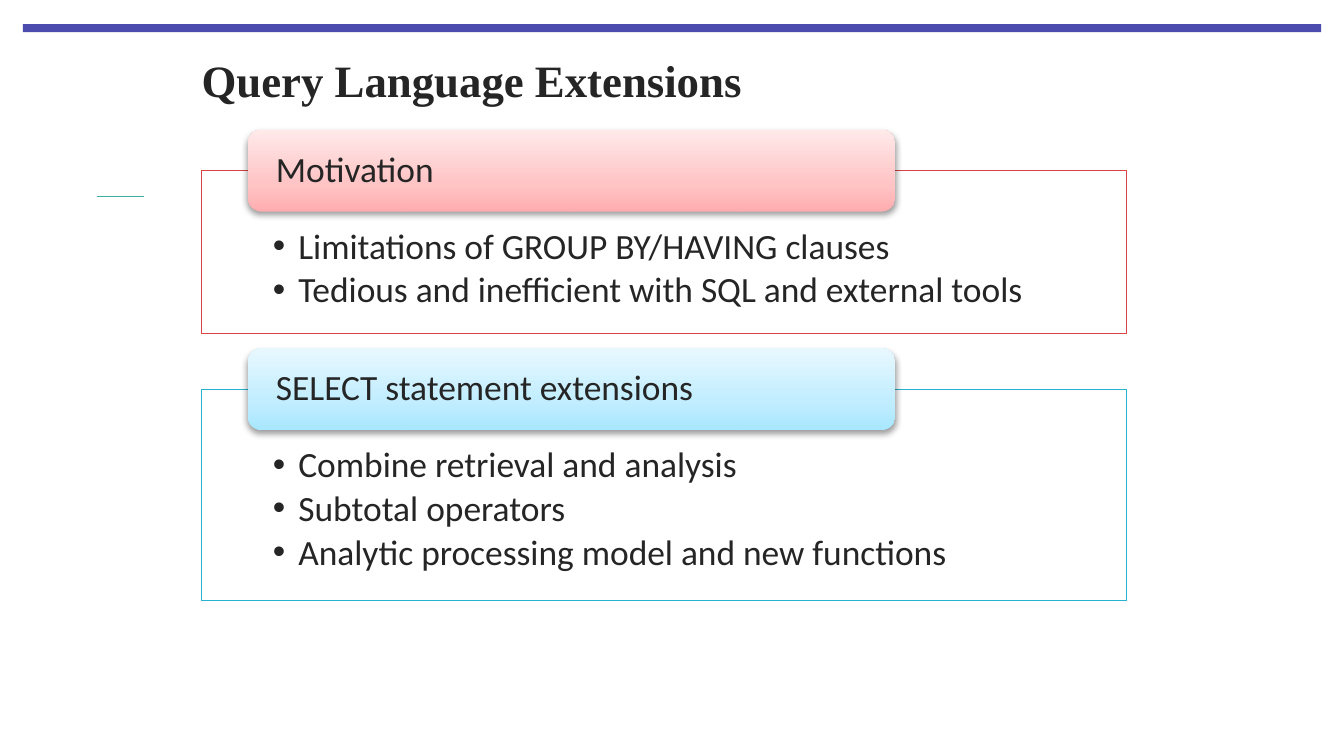
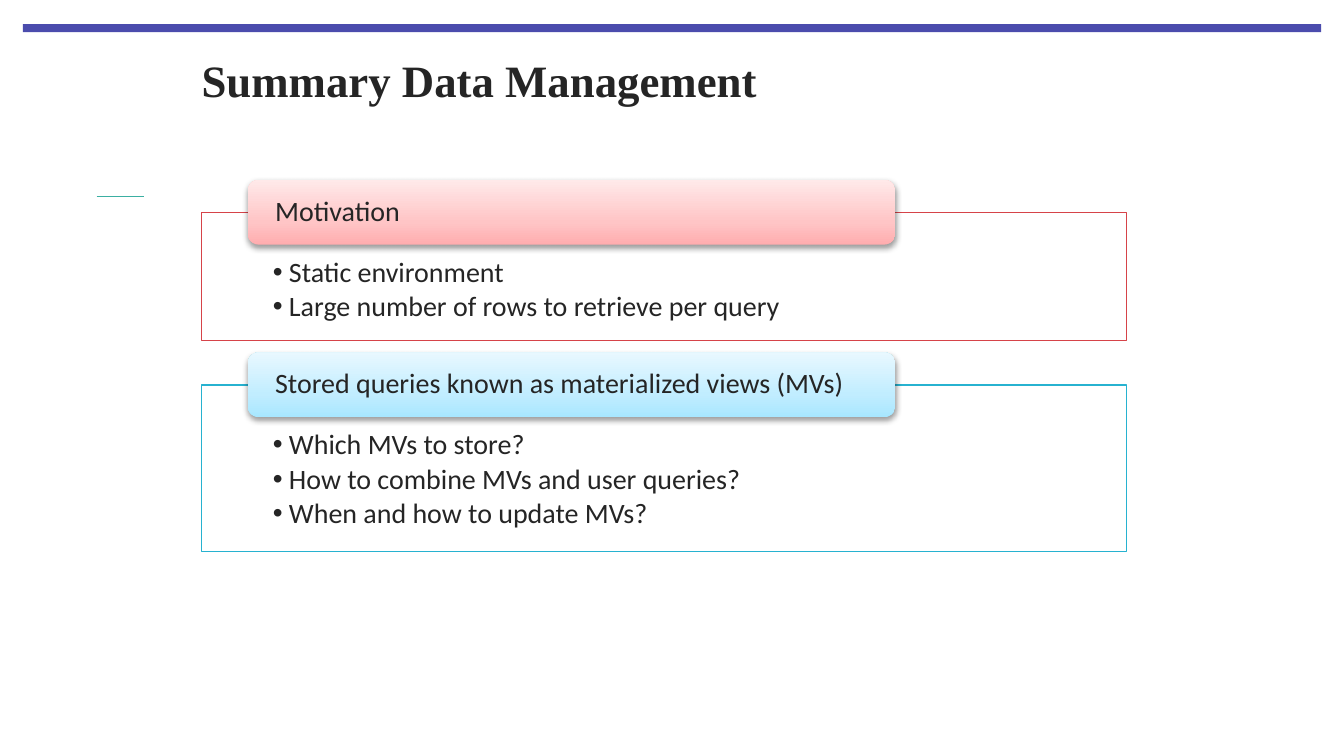
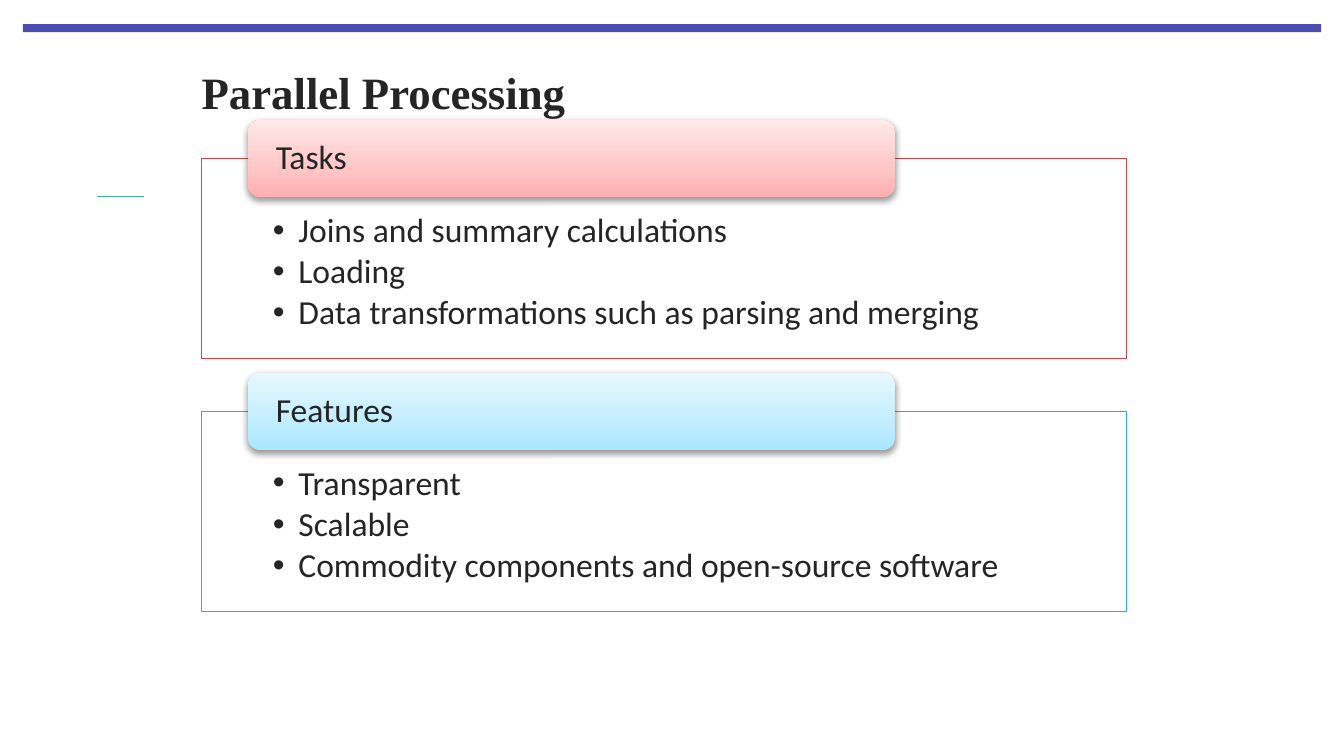
from copy import deepcopy

from lxml import etree
from pptx import Presentation
from pptx.dml.color import RGBColor
from pptx.enum import shapes, text
from pptx.oxml.ns import qn
from pptx.util import Inches, Pt

INK = RGBColor(0x25, 0x25, 0x25)
WHITE = RGBColor(0xFF, 0xFF, 0xFF)
BAND = RGBColor(0x4B, 0x4C, 0xAD)
DASH = RGBColor(0x3B, 0xAF, 0xA2)
RED = RGBColor(0xD6, 0x43, 0x49)
BLUE = RGBColor(0x27, 0xB2, 0xD0)
RED_TINTS = [RGBColor(0xFF, 0xAD, 0xAF), RGBColor(0xFF, 0xC5, 0xC6), RGBColor(0xFF, 0xE9, 0xE9)]
BLUE_TINTS = [RGBColor(0xA8, 0xE7, 0xFF), RGBColor(0xC1, 0xED, 0xFF), RGBColor(0xE8, 0xF8, 0xFF)]
THEMES = [(RED, RED_TINTS), (BLUE, BLUE_TINTS)]
TINT_STOPS = [0, 0.35, 1]

TITLE_FONT, BODY_FONT = "Times New Roman", "Calibri"
LEFT, WIDTH = 1.5, 6.88
HEADING_LEFT, HEADING_WIDTH = LEFT + 0.05 * WIDTH, 0.7 * WIDTH

# Heights in multiples of the text size
HEADING_EM = 2.31
PANEL_BASE_EM, PANEL_LINE_EM = 1.87, 1.36
PANEL_GAP_EM = 0.42
INSET_TOP_EM, INSET_BOTTOM_EM = 1.63, 0.56

SLIDES = [
    {"title": "Query Language Extensions", "title_top": 0.31,
     "size": 19, "indent": 0.19, "panel_top": 1.27,
     "sections": [
         ("Motivation", ["Limitations of GROUP BY/HAVING clauses",
                         "Tedious and inefficient with SQL and external tools"]),
         ("SELECT statement extensions", ["Combine retrieval and analysis",
                                          "Subtotal operators",
                                          "Analytic processing model and new functions"]),
     ]},
    {"title": "Summary Data Management", "title_top": 0.31,
     "size": 15, "indent": 0.12, "panel_top": 1.58,
     "sections": [
         ("Motivation", ["Static environment",
                         "Large number of rows to retrieve per query"]),
         ("Stored queries known as materialized views (MVs)",
          ["Which MVs to store?",
           "How to combine MVs and user queries?",
           "When and how to update MVs?"]),
     ]},
    {"title": "Parallel Processing", "title_top": 0.4,
     "size": 18, "indent": 0.19, "panel_top": 1.18,
     "sections": [
         ("Tasks", ["Joins and summary calculations",
                    "Loading",
                    "Data transformations such as parsing and merging"]),
         ("Features", ["Transparent",
                       "Scalable",
                       "Commodity components and open-source software"]),
     ]},
]


def add_block(page, kind, left, top, width, height):
    block = page.shapes.add_shape(kind, Inches(left), Inches(top), Inches(width), Inches(height))
    block.shadow.inherit = False
    block.line.fill.background()
    return block


def set_frame(frame, anchor, left=0, top=0, right=0, bottom=0):
    frame.word_wrap = True
    frame.vertical_anchor = anchor
    frame.margin_left, frame.margin_top = Inches(left), Inches(top)
    frame.margin_right, frame.margin_bottom = Inches(right), Inches(bottom)


def style_paragraph(para, name, size, bold=False):
    para.alignment = text.PP_ALIGN.LEFT
    for span in para.runs:
        span.font.name, span.font.size, span.font.bold = name, Pt(size), bold
        span.font.color.rgb = INK


def set_spacing(para, size, after):
    """Tighten the lines and leave a share of the text size after them."""
    para.line_spacing = 0.9
    para.space_after = Pt(round(size * after, 2))


def set_bullet(para, indent):
    para.level = 1
    properties = para._p.get_or_add_pPr()
    properties.set("marL", str(Inches(indent)))
    properties.set("indent", str(-Inches(indent)))
    font = etree.SubElement(properties, qn("a:buFont"))
    font.set("typeface", "Arial")
    etree.SubElement(properties, qn("a:buChar")).set("char", "•")


def set_alpha(color, percent):
    etree.SubElement(color, qn("a:alpha")).set("val", str(percent * 1000))


def add_shadow(block):
    effects = block._element.spPr.find(qn("a:effectLst"))
    shadow = etree.SubElement(effects, qn("a:outerShdw"), blurRad="40000", dist="20000",
                              dir="5400000", rotWithShape="0")
    color = etree.SubElement(shadow, qn("a:srgbClr"), val="000000")
    set_alpha(color, 38)


def fill_gradient(block, colors):
    block.fill.gradient()
    block.fill.gradient_angle = 90
    stops = block._element.spPr.find(".//" + qn("a:gsLst"))
    stops.insert(1, deepcopy(stops[0]))
    for stop, position, color in zip(block.fill.gradient_stops, TINT_STOPS, colors):
        stop.position = position
        stop.color.rgb = color


def add_decor(page):
    band = add_block(page, shapes.MSO_SHAPE.RECTANGLE, 0.17, 0.18, 9.66, 0.06)
    band.fill.solid()
    band.fill.fore_color.rgb = BAND
    dash = page.shapes.add_connector(shapes.MSO_CONNECTOR.STRAIGHT,
                                     Inches(0.72), Inches(1.46), Inches(1.07), Inches(1.46))
    dash.line.color.rgb = DASH
    dash.line.width = Pt(0.5)
    etree.SubElement(dash._element.spPr, qn("a:effectLst"))


def add_title(page, title, top):
    box = page.shapes.add_textbox(Inches(LEFT), Inches(top), Inches(WIDTH), Inches(0.56))
    set_frame(box.text_frame, text.MSO_ANCHOR.MIDDLE)
    box.text_frame.text = title
    style_paragraph(box.text_frame.paragraphs[0], TITLE_FONT, 24, bold=True)


def add_panel(page, items, top, height, size, indent, color):
    panel = add_block(page, shapes.MSO_SHAPE.RECTANGLE, LEFT, top, WIDTH, height)
    panel.fill.solid()
    panel.fill.fore_color.rgb = WHITE
    set_alpha(panel._element.spPr.find(qn("a:solidFill"))[0], 90)
    panel.line.color.rgb = color
    panel.line.width = Pt(0.75)
    em = size / 72
    set_frame(panel.text_frame, text.MSO_ANCHOR.TOP,
              0.53, INSET_TOP_EM * em, 0.53, INSET_BOTTOM_EM * em)
    panel.text_frame.text = "\n".join(items)
    for para in panel.text_frame.paragraphs:
        style_paragraph(para, BODY_FONT, size)
        set_spacing(para, size, 0.15)
        set_bullet(para, indent)


def add_heading(page, heading, top, height, size, tints):
    pill = add_block(page, shapes.MSO_SHAPE.ROUNDED_RECTANGLE,
                     HEADING_LEFT, top, HEADING_WIDTH, height)
    fill_gradient(pill, tints)
    add_shadow(pill)
    set_frame(pill.text_frame, text.MSO_ANCHOR.MIDDLE, left=0.18, right=0.18)
    pill.text_frame.text = heading
    para = pill.text_frame.paragraphs[0]
    style_paragraph(para, BODY_FONT, size)
    set_spacing(para, size, 0.35)


def add_sections(page, content):
    """Stack the panels, each with its heading centred on the top edge."""
    size, top = content["size"], content["panel_top"]
    em = size / 72
    heading_height = HEADING_EM * em
    for (heading, items), (color, tints) in zip(content["sections"], THEMES):
        height = (PANEL_BASE_EM + PANEL_LINE_EM * len(items)) * em
        add_panel(page, items, top, height, size, content["indent"], color)
        add_heading(page, heading, top - heading_height / 2, heading_height, size, tints)
        top += height + PANEL_GAP_EM * em + heading_height / 2


def main():
    deck = Presentation()
    deck.slide_width = Inches(10)
    deck.slide_height = Inches(10 * 9 / 16)
    for content in SLIDES:
        page = deck.slides.add_slide(deck.slide_layouts[6])
        add_decor(page)
        add_title(page, content["title"], content["title_top"])
        add_sections(page, content)
    deck.save("out.pptx")


if __name__ == "__main__":
    main()
